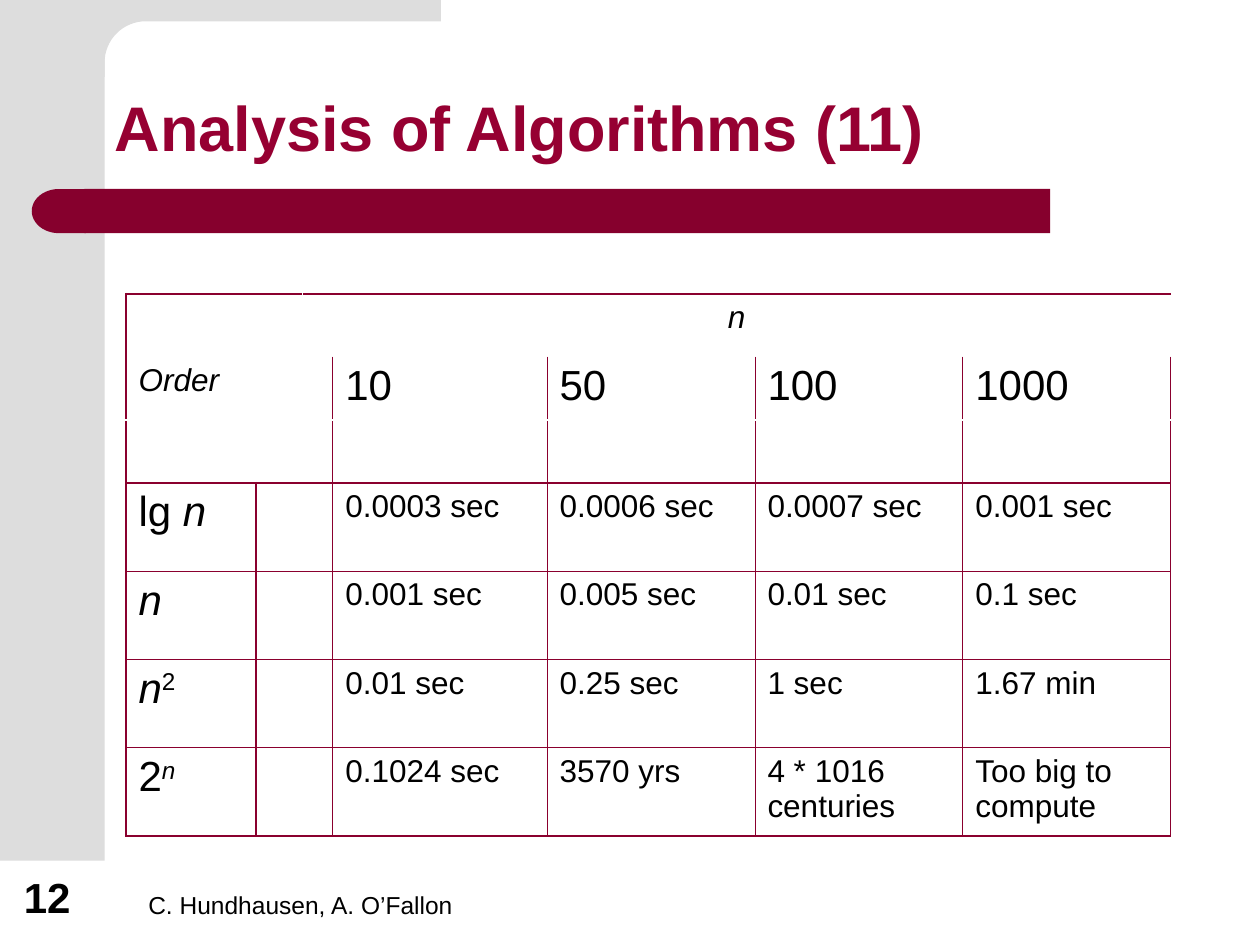
from dataclasses import dataclass
from math import cos, pi, sin
from typing import NamedTuple, Optional

from lxml.etree import SubElement
from pptx import Presentation
from pptx.dml.color import RGBColor
from pptx.enum.shapes import MSO_SHAPE
from pptx.enum.text import MSO_ANCHOR, MSO_AUTO_SIZE, PP_ALIGN
from pptx.oxml.ns import qn
from pptx.util import Cm, Pt

WINE = RGBColor(0x86, 0x00, 0x2D)
TITLE_RED = RGBColor(0x96, 0x00, 0x32)
GRID_RED = RGBColor(0x8A, 0x00, 0x2E)
GREY = RGBColor(0xDD, 0xDD, 0xDD)
WHITE = RGBColor(0xFF, 0xFF, 0xFF)
BLACK = RGBColor(0x00, 0x00, 0x00)
FONT = "Arial"


class Box(NamedTuple):
    """Left, top, width and height in centimetres."""
    left: float
    top: float
    width: float
    height: float

    def lengths(self):
        return tuple(Cm(value) for value in self)


class Run(NamedTuple):
    text: str
    italic: bool = False
    raised: bool = False


class Edge(NamedTuple):
    color: RGBColor
    points: float


@dataclass
class Entry:
    row: int
    column: int
    runs: list[Run]
    size: float = 18
    align: Optional[PP_ALIGN] = None


@dataclass
class Label:
    text: str
    box: Box
    size: float
    color: RGBColor = BLACK
    bold: bool = False
    anchor: MSO_ANCHOR = MSO_ANCHOR.BOTTOM


THICK, THIN, GAP = Edge(GRID_RED, 1.08), Edge(GRID_RED, 0.45), Edge(WHITE, 1.08)
VERTICAL_EDGES = [THICK, THICK, GAP, THIN, THIN, THIN, THIN, THICK]
HORIZONTAL_EDGES = [THICK, None, GAP, THICK, THIN, THIN, THIN, THICK]
COLUMN_WIDTHS = [2.62, 0.94, 0.6, 4.32, 4.19, 4.19, 4.19]
ROW_HEIGHTS = [1.27] * 3 + [1.78] * 4
FIRST_SIZE_COLUMN = 3
FIRST_ORDER_ROW = 3

INPUT_SIZES = ["10", "50", "100", "1000"]
RUNNING_TIMES = [
    ([Run("lg "), Run("n", italic=True)],
     ["0.0003 sec", "0.0006 sec", "0.0007 sec", "0.001 sec"]),
    ([Run("n", italic=True)],
     ["0.001 sec", "0.005 sec", "0.01 sec", "0.1 sec"]),
    ([Run("n", italic=True), Run("2", raised=True)],
     ["0.01 sec", "0.25 sec", "1 sec", "1.67 min"]),
    ([Run("2"), Run("n", italic=True, raised=True)],
     ["0.1024 sec", "3570 yrs", "4 * 1016 centuries", "Too big to compute"]),
]
TITLE = Label("Analysis of Algorithms (11)", Box(2.06, 1.63, 21.72, 2.03), 36,
              TITLE_RED, True, MSO_ANCHOR.MIDDLE)
FOOTER_LABELS = [
    Label("C. Hundhausen, A. O’Fallon", Box(2.74, 17.35, 9.53, 1.32), 14),
    Label("12", Box(0.23, 17.35, 1.63, 1.35), 24, bold=True),
]


def paint(shape, color: RGBColor) -> None:
    shape.fill.solid()
    shape.fill.fore_color.rgb = color
    shape.line.fill.background()
    shape.shadow.inherit = False


def add_block(slide, kind: MSO_SHAPE, box: Box, color: RGBColor):
    block = slide.shapes.add_shape(kind, *box.lengths())
    paint(block, color)
    return block


def add_rounded_corner(slide) -> None:
    """Draw the grey strip at the top with its concave corner."""
    inner_left, inner_top, radius = 2.11, 0.43, 0.83
    center_x, center_y = inner_left + radius, inner_top + radius
    steps = 16
    arc = [(center_x - radius * sin(angle), center_y - radius * cos(angle))
           for angle in (pi / 2 * step / steps for step in range(steps + 1))]
    outline = [(8.89, 0), (8.89, inner_top), *arc, (inner_left, 1.55), (1.27, 1.55)]
    builder = slide.shapes.build_freeform(Cm(1.27), 0)
    builder.add_line_segments([(Cm(x), Cm(y)) for x, y in outline])
    paint(builder.convert_to_shape(), GREY)


def set_font(font, size: float, color: RGBColor = BLACK) -> None:
    font.name = FONT
    font.size = Pt(size)
    font.color.rgb = color


def fill_label(shape, label: Label) -> None:
    shape.left, shape.top, shape.width, shape.height = label.box.lengths()
    frame = shape.text_frame
    frame.word_wrap = True
    frame.auto_size = MSO_AUTO_SIZE.NONE
    frame.vertical_anchor = label.anchor
    paragraph = frame.paragraphs[0]
    paragraph.alignment = PP_ALIGN.LEFT
    run = paragraph.add_run()
    run.text = label.text
    set_font(run.font, label.size, label.color)
    run.font.bold = label.bold


def is_merged_away(row: int, column: int) -> bool:
    """Tell whether the cell belongs to the merged cell on its left."""
    return (column == 1 and row < FIRST_ORDER_ROW) or (row == 0 and column > 2)


def set_edge(cell, side: str, edge: Optional[Edge]) -> None:
    line = SubElement(cell._tc.get_or_add_tcPr(), qn(f"a:ln{side}"))
    if edge is None:
        SubElement(line, qn("a:noFill"))
        return
    line.set("w", str(Pt(edge.points)))
    fill = SubElement(line, qn("a:solidFill"))
    SubElement(fill, qn("a:srgbClr")).set("val", str(edge.color))


def format_cell(cell, row: int, column: int) -> None:
    left = None if is_merged_away(row, column) else VERTICAL_EDGES[column]
    last = column + 1 == len(COLUMN_WIDTHS)
    joined = not last and is_merged_away(row, column + 1)
    set_edge(cell, "L", left)
    set_edge(cell, "R", None if joined else VERTICAL_EDGES[column + 1])
    set_edge(cell, "T", HORIZONTAL_EDGES[row])
    set_edge(cell, "B", HORIZONTAL_EDGES[row + 1])
    cell.fill.background()


def write_entry(table, entry: Entry) -> None:
    paragraph = table.cell(entry.row, entry.column).text_frame.paragraphs[0]
    paragraph.alignment = entry.align
    paragraph.space_before = Pt(entry.size / 4)
    for part in entry.runs:
        run = paragraph.add_run()
        run.text = part.text
        set_font(run.font, entry.size)
        run.font.italic = part.italic
        if part.raised:
            run.font._element.set("baseline", "30000")


def table_entries() -> list[Entry]:
    entries = [Entry(0, 2, [Run("n", italic=True)], align=PP_ALIGN.CENTER),
               Entry(1, 0, [Run("Order", italic=True)])]
    entries += [Entry(1, column, [Run(size)], 24)
                for column, size in enumerate(INPUT_SIZES, FIRST_SIZE_COLUMN)]
    for row, (order, times) in enumerate(RUNNING_TIMES, FIRST_ORDER_ROW):
        entries.append(Entry(row, 0, order, 24))
        entries += [Entry(row, column, [Run(time)])
                    for column, time in enumerate(times, FIRST_SIZE_COLUMN)]
    return entries


def add_running_time_table(slide) -> None:
    box = Box(2.54, 5.92, sum(COLUMN_WIDTHS), sum(ROW_HEIGHTS))
    table = slide.shapes.add_table(
        len(ROW_HEIGHTS), len(COLUMN_WIDTHS), *box.lengths()).table
    table.first_row = table.horz_banding = False
    for column, width in zip(table.columns, COLUMN_WIDTHS):
        column.width = Cm(width)
    for row, height in zip(table.rows, ROW_HEIGHTS):
        row.height = Cm(height)
    for row in range(len(ROW_HEIGHTS)):
        for column in range(len(COLUMN_WIDTHS)):
            format_cell(table.cell(row, column), row, column)
    for row in range(FIRST_ORDER_ROW):
        table.cell(row, 0).merge(table.cell(row, 1))
    table.cell(0, 2).merge(table.cell(0, 6))
    for entry in table_entries():
        write_entry(table, entry)


def main() -> None:
    deck = Presentation()
    deck.slide_width, deck.slide_height = Cm(25.4), Cm(19.05)
    slide = deck.slides.add_slide(deck.slide_layouts[5])
    add_block(slide, MSO_SHAPE.RECTANGLE, Box(0, 0, 2.11, 17.35), GREY)
    add_rounded_corner(slide)
    add_block(slide, MSO_SHAPE.RECTANGLE, Box(1.7, 3.81, 19.47, 0.89), WINE)
    bar_end = add_block(slide, MSO_SHAPE.FLOWCHART_DELAY, Box(0.64, 3.81, 1.09, 0.89), WINE)
    bar_end.rotation = 180
    fill_label(slide.shapes.title, TITLE)
    slide.shapes.title.text_frame.paragraphs[0].line_spacing = 0.9
    for label in FOOTER_LABELS:
        fill_label(slide.shapes.add_textbox(*label.box.lengths()), label)
    add_running_time_table(slide)
    deck.save("out.pptx")


if __name__ == "__main__":
    main()
